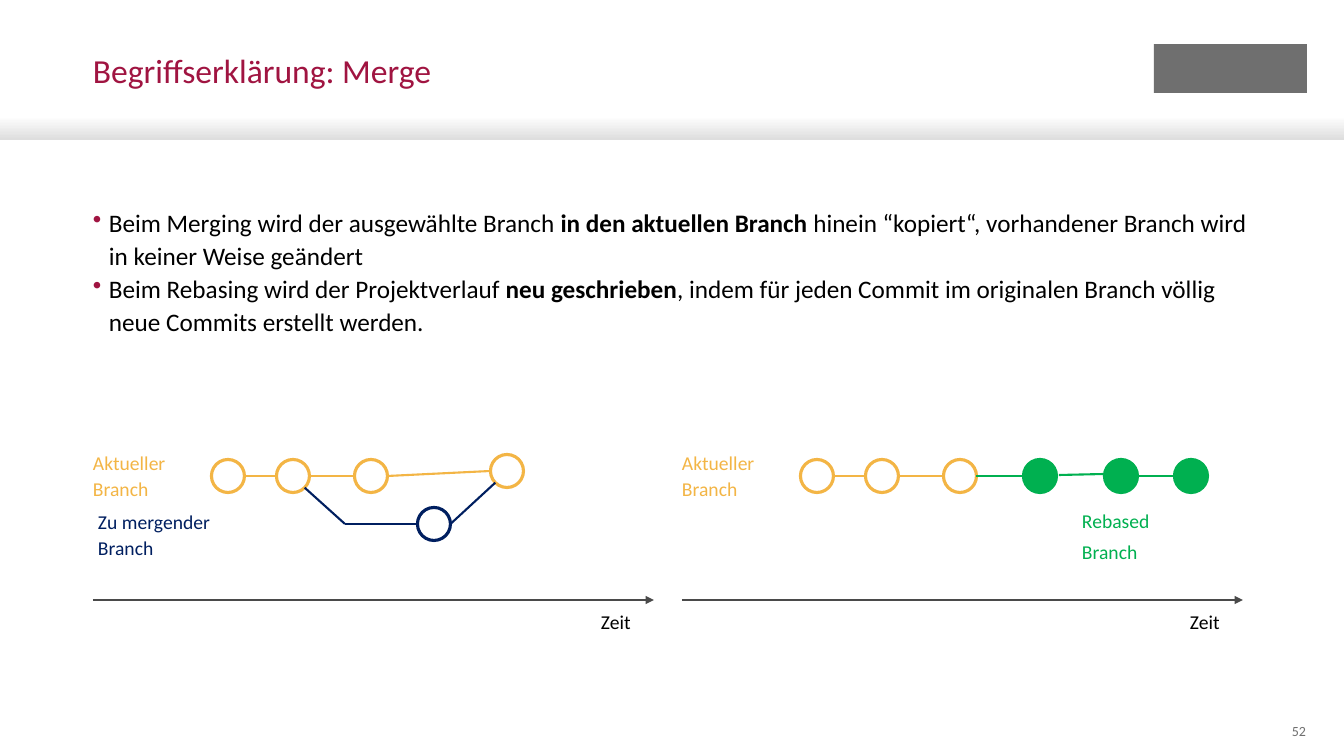
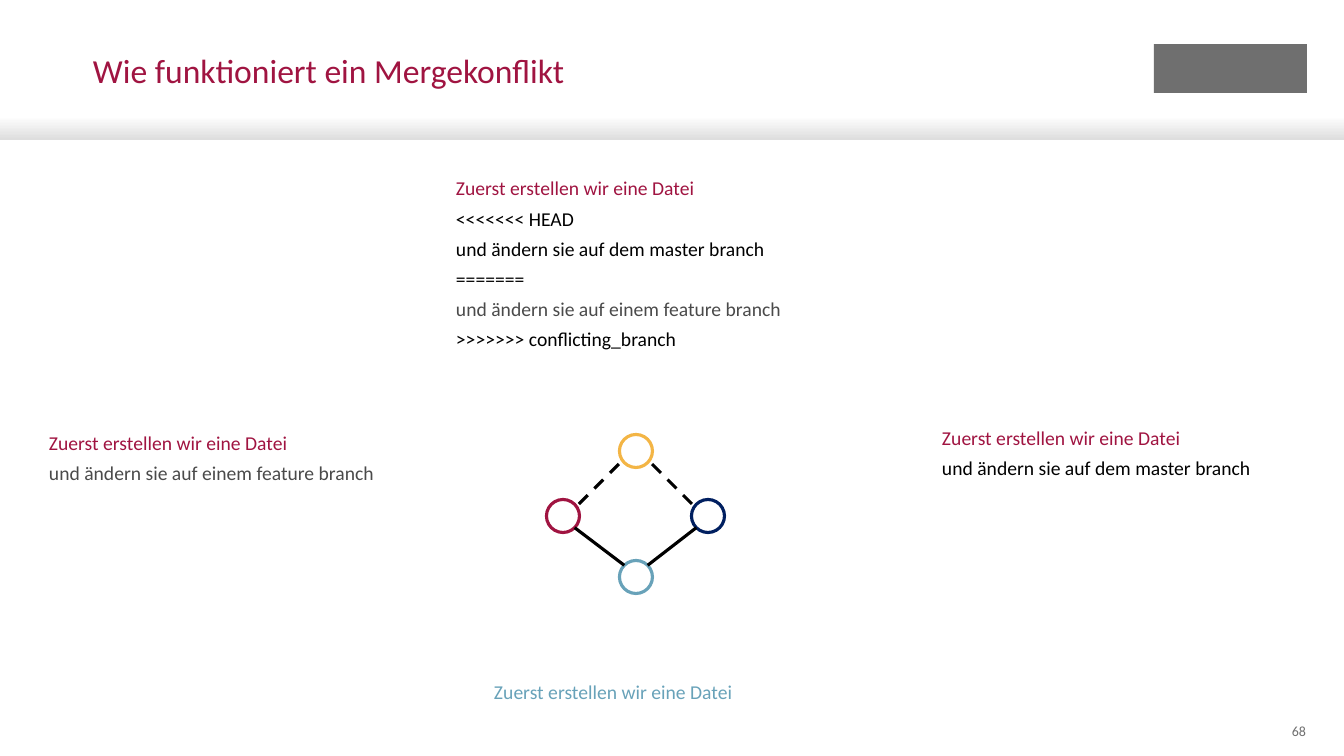
from lxml import etree
from pptx import Presentation
from pptx.dml.color import RGBColor
from pptx.enum.dml import MSO_LINE
from pptx.enum.shapes import MSO_CONNECTOR, MSO_SHAPE
from pptx.enum.text import MSO_ANCHOR, MSO_AUTO_SIZE, PP_ALIGN
from pptx.oxml.ns import qn
from pptx.util import Pt

SLIDE_W, SLIDE_H = 1344, 756
SCALE = 12192000 / SLIDE_W
FONT = "Calibri"

CRIMSON = RGBColor(0xA0, 0x14, 0x41)
AMBER = RGBColor(0xF3, 0xB5, 0x45)
NAVY = RGBColor(0x00, 0x1F, 0x60)
GREEN = RGBColor(0x00, 0xB0, 0x50)
TEAL = RGBColor(0x68, 0xA2, 0xB9)
BLACK = RGBColor(0x00, 0x00, 0x00)
DARK_GREY = RGBColor(0x4A, 0x4A, 0x4A)
MID_GREY = RGBColor(0x6F, 0x6F, 0x6F)
BAND_GREY = RGBColor(0xDE, 0xDE, 0xDE)
WHITE = RGBColor(0xFF, 0xFF, 0xFF)

COMMIT_SIZE = 33
DIAGONAL = 0.71
SIDES = {
    "left": (-1, 0), "right": (1, 0),
    "upper left": (-DIAGONAL, -DIAGONAL), "upper right": (DIAGONAL, -DIAGONAL),
    "lower left": (-DIAGONAL, DIAGONAL), "lower right": (DIAGONAL, DIAGONAL),
}

MERGE_BULLETS = [
    [("Beim Merging wird der ausgewählte Branch ", False),
     ("in den aktuellen Branch ", True),
     ("hinein “kopiert“, vorhandener Branch wird in keiner Weise geändert", False)],
    [("Beim Rebasing wird der Projektverlauf ", False),
     ("neu geschrieben", True),
     (", indem für jeden Commit im originalen Branch völlig neue Commits erstellt werden.", False)],
]

TIMELINE_LEFTS = (93, 682)
TIMELINE_COMMITS = {"first": (135, 476), "second": (200, 476), "third": (278, 476)}
TIMELINE_LINKS = [
    (("first", "right"), ("second", "left")),
    (("second", "right"), ("third", "left")),
]

MERGE_COMMITS = {"merge": (507, 471, AMBER, False), "feature": (434, 524, NAVY, False)}
MERGE_LINKS = [
    (("third", "right"), ("merge", "left"), AMBER),
    (("second", "lower right"), (345, 524), NAVY),
    ((345, 524), ("feature", "left"), NAVY),
    (("feature", "right"), ("merge", "lower left"), NAVY),
]
REBASE_COMMITS = {
    "rebased 1": (1040, 476, GREEN, True),
    "rebased 2": (1121, 476, GREEN, True),
    "rebased 3": (1191, 476, GREEN, True),
}
REBASE_LINKS = [
    (("third", "right"), ("rebased 1", "left"), GREEN),
    ((1059, 475), (1104, 474), GREEN),
    (("rebased 2", "right"), ("rebased 3", "left"), GREEN),
]
BRANCH_LABELS = [
    ((98, 508, 147, 52), [("Zu mergender Branch", NAVY)]),
    ((1082, 507, 105, 52), [("Rebased", GREEN), ("Branch", GREEN)]),
]

BASE_LINE = "Zuerst erstellen wir eine Datei"
MASTER_LINE = ("und ändern sie auf dem master branch", BLACK)
FEATURE_LINE = ("und ändern sie auf einem feature branch", DARK_GREY)
FILE_VERSIONS = [
    ((494, 678, 600, 60), [(BASE_LINE, TEAL)]),
    ((49, 429, 407, 137), [(BASE_LINE, CRIMSON), FEATURE_LINE]),
    ((942, 424, 401, 137), [(BASE_LINE, CRIMSON), MASTER_LINE]),
    ((456, 174, 600, 165), [
        (BASE_LINE, CRIMSON), ("<<<<<<< HEAD", BLACK), MASTER_LINE,
        ("=======", BLACK), FEATURE_LINE, (">>>>>>> conflicting_branch", BLACK),
    ]),
]
CONFLICT_COMMITS = {
    "feature": (563, 516, CRIMSON, False),
    "base": (636, 577, TEAL, False),
    "master": (708, 516, NAVY, False),
    "conflict": (636, 451, AMBER, False),
}
CONFLICT_LINKS = [
    (("base", "upper right"), ("master", "lower left"), None),
    (("feature", "lower right"), ("base", "upper left"), None),
    ((579, 504), (620, 463), MSO_LINE.DASH),
    ((692, 504), (651, 463), MSO_LINE.DASH),
]


def px(*lengths):
    return [round(length * SCALE) for length in lengths]


def style_font(font, size, colour, bold=False):
    font.name = FONT
    font.size = Pt(size)
    font.color.rgb = colour
    font.bold = bold


def prepare_frame(frame, anchor=MSO_ANCHOR.TOP):
    frame.word_wrap = True
    frame.auto_size = MSO_AUTO_SIZE.NONE
    frame.vertical_anchor = anchor
    frame.margin_left = frame.margin_right = frame.margin_top = frame.margin_bottom = 0


def add_frame(slide, box, anchor=MSO_ANCHOR.TOP):
    frame = slide.shapes.add_textbox(*px(*box)).text_frame
    prepare_frame(frame, anchor)
    return frame


def add_label(slide, box, lines):
    frame = add_frame(slide, box)
    frame.text = "\n".join(text for text, _ in lines)
    for index, (paragraph, (_, colour)) in enumerate(zip(frame.paragraphs, lines)):
        paragraph.line_spacing = 1.1
        paragraph.space_before = Pt(3 if index else 0)
        style_font(paragraph.runs[0].font, 14, colour)


def add_bullets(slide, box, bullets):
    frame = add_frame(slide, box)
    for index, runs in enumerate(bullets):
        paragraph = frame.add_paragraph() if index else frame.paragraphs[0]
        paragraph.line_spacing = 1.1
        properties = paragraph._p.get_or_add_pPr()
        indent = px(16)[0]
        properties.set("marL", str(indent))
        properties.set("indent", str(-indent))
        bullet_colour = etree.SubElement(properties, qn("a:buClr"))
        etree.SubElement(bullet_colour, qn("a:srgbClr"), val=str(CRIMSON))
        etree.SubElement(properties, qn("a:buChar"), char="•")
        for text, bold in runs:
            run = paragraph.add_run()
            run.text = text
            style_font(run.font, 18, BLACK, bold)


def add_plain_shape(slide, preset, box):
    shape = slide.shapes.add_shape(preset, *px(*box))
    shape.shadow.inherit = False
    shape.line.fill.background()
    return shape


def add_commit(slide, x, y, colour, filled=False):
    radius = COMMIT_SIZE / 2
    commit = add_plain_shape(slide, MSO_SHAPE.OVAL,
                             (x - radius, y - radius, COMMIT_SIZE, COMMIT_SIZE))
    if filled:
        commit.fill.solid()
        commit.fill.fore_color.rgb = colour
    else:
        commit.fill.background()
    commit.line.color.rgb = colour
    commit.line.width = Pt(2.25)


def link_end(end, commits):
    if not isinstance(end[0], str):
        return end
    name, side = end
    x, y = commits[name][:2]
    dx, dy = SIDES[side]
    return x + dx * COMMIT_SIZE / 2, y + dy * COMMIT_SIZE / 2


def add_link(slide, start, end, colour, width=1.5, commits=None):
    ends = px(*link_end(start, commits), *link_end(end, commits))
    link = slide.shapes.add_connector(MSO_CONNECTOR.STRAIGHT, *ends)
    link.line.color.rgb = colour
    link.line.width = Pt(width)
    etree.SubElement(link._element.spPr, qn("a:effectLst"))
    return link


def add_timeline(slide, left):
    commits = {name: (left + x, y) for name, (x, y) in TIMELINE_COMMITS.items()}
    add_label(slide, (left, 449, 105, 52), [("Aktueller Branch", AMBER)])
    for x, y in commits.values():
        add_commit(slide, x, y, AMBER)
    for start, end in TIMELINE_LINKS:
        add_link(slide, start, end, AMBER, commits=commits)
    axis = add_link(slide, (left, 600), (left + 561, 600), DARK_GREY)
    etree.SubElement(axis.line._get_or_add_ln(), qn("a:tailEnd"), type="triangle")
    add_label(slide, (left + 508, 608, 52, 31), [("Zeit", BLACK)])
    return commits


def add_base_slide(deck, title_text, number):
    slide = deck.slides.add_slide(deck.slide_layouts[5])

    band = add_plain_shape(slide, MSO_SHAPE.RECTANGLE, (0, 116, SLIDE_W, 24))
    band.fill.gradient()
    band.fill.gradient_angle = 270
    for stop, position, colour in zip(band.fill.gradient_stops, (0, 1), (WHITE, BAND_GREY)):
        stop.position = position
        stop.color.rgb = colour

    emblem = add_plain_shape(slide, MSO_SHAPE.RECTANGLE, (1154, 44, 153, 49))
    emblem.fill.solid()
    emblem.fill.fore_color.rgb = MID_GREY

    title = slide.shapes.title
    title.left, title.top, title.width, title.height = px(93, 54, 1032, 86)
    prepare_frame(title.text_frame)
    title.text_frame.text = title_text
    heading = title.text_frame.paragraphs[0]
    heading.alignment = PP_ALIGN.LEFT
    heading.line_spacing = 0.9
    style_font(heading.runs[0].font, 24, CRIMSON)

    footer = add_frame(slide, (1251, 720, 55, 21), MSO_ANCHOR.MIDDLE)
    footer.text = number
    footer.paragraphs[0].alignment = PP_ALIGN.RIGHT
    style_font(footer.paragraphs[0].runs[0].font, 10, MID_GREY)
    return slide


def build_merge_slide(deck):
    slide = add_base_slide(deck, "Begriffserklärung: Merge", "52")
    add_bullets(slide, (93, 204, 1158, 492), MERGE_BULLETS)
    histories = [(MERGE_COMMITS, MERGE_LINKS), (REBASE_COMMITS, REBASE_LINKS)]
    for left, (extra_commits, links) in zip(TIMELINE_LEFTS, histories):
        commits = {**add_timeline(slide, left), **extra_commits}
        for commit in extra_commits.values():
            add_commit(slide, *commit)
        for start, end, colour in links:
            add_link(slide, start, end, colour, commits=commits)
    for box, lines in BRANCH_LABELS:
        add_label(slide, box, lines)


def build_conflict_slide(deck):
    slide = add_base_slide(deck, "Wie funktioniert ein Mergekonflikt", "68")
    for box, lines in FILE_VERSIONS:
        add_label(slide, box, lines)
    for commit in CONFLICT_COMMITS.values():
        add_commit(slide, *commit)
    for start, end, dash in CONFLICT_LINKS:
        link = add_link(slide, start, end, BLACK, 2.25, CONFLICT_COMMITS)
        if dash:
            link.line.dash_style = dash


def main():
    deck = Presentation()
    deck.slide_width, deck.slide_height = px(SLIDE_W, SLIDE_H)
    build_merge_slide(deck)
    build_conflict_slide(deck)
    deck.save("out.pptx")


if __name__ == "__main__":
    main()
